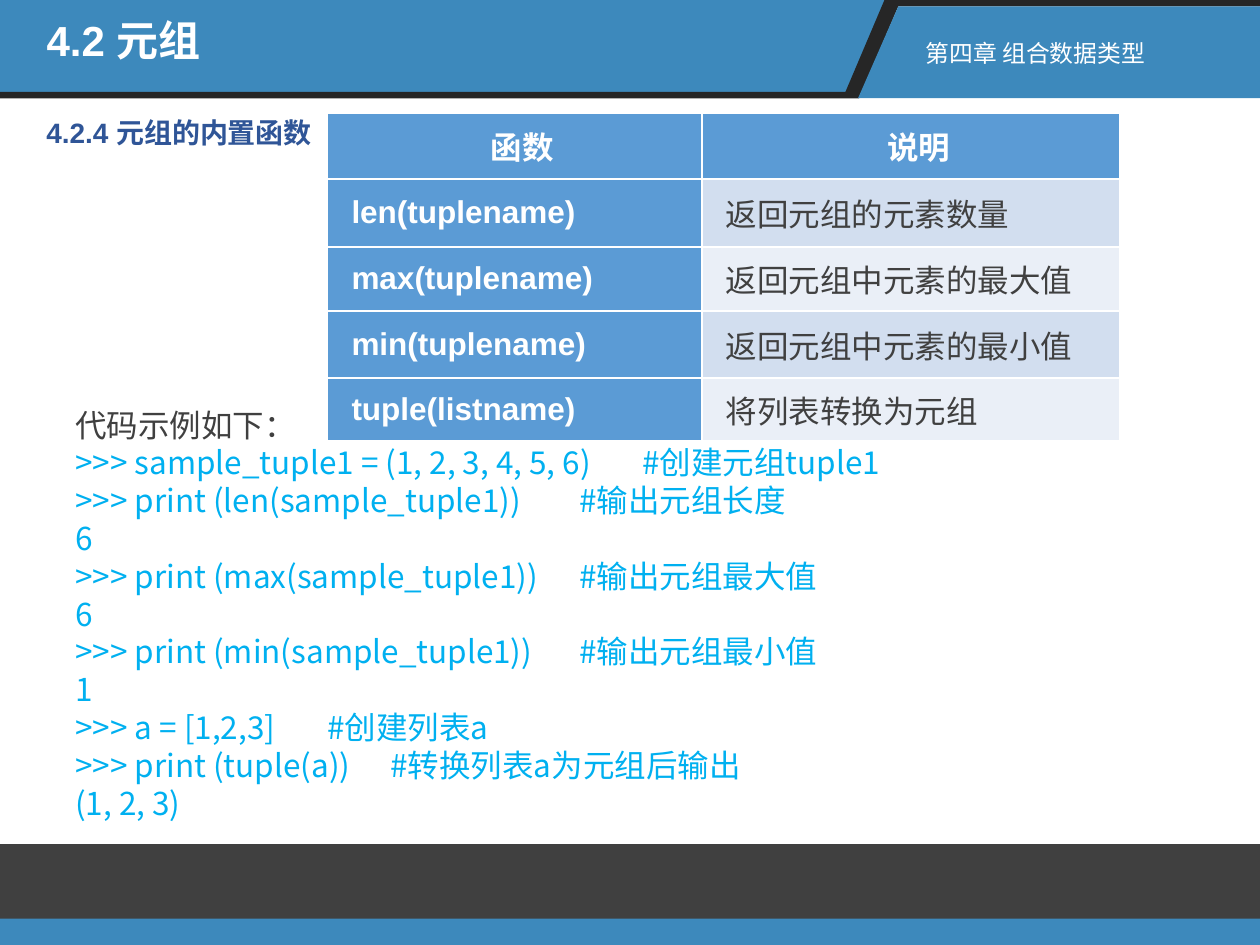
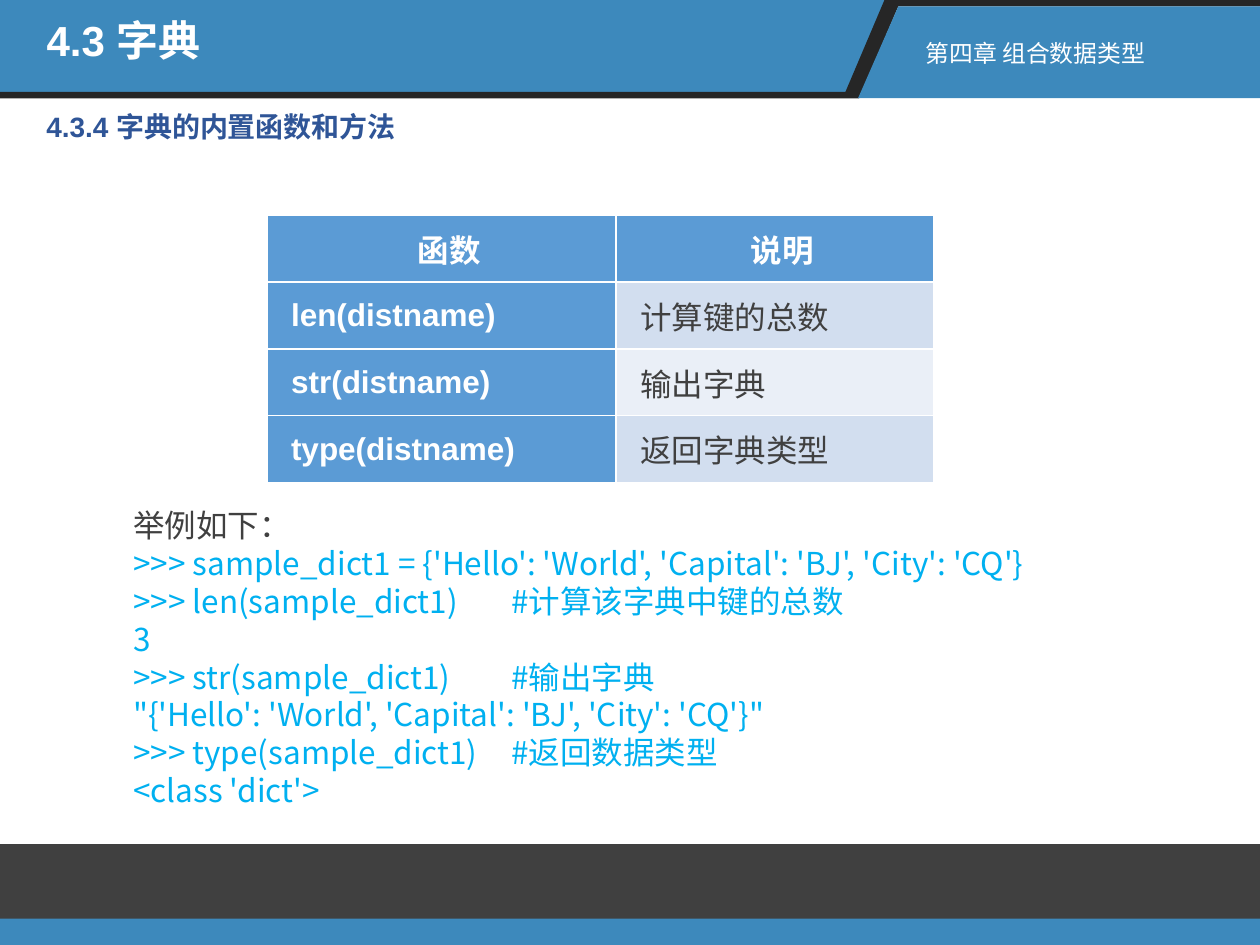
from dataclasses import dataclass

from lxml import etree
from pptx import Presentation
from pptx.dml.color import RGBColor
from pptx.enum.shapes import MSO_SHAPE
from pptx.enum.text import MSO_ANCHOR, MSO_AUTO_SIZE, PP_ALIGN
from pptx.oxml.ns import qn
from pptx.util import Inches, Pt

RECTANGLE = MSO_SHAPE.RECTANGLE
TOP, MIDDLE = MSO_ANCHOR.TOP, MSO_ANCHOR.MIDDLE
NO_AUTOFIT = MSO_AUTO_SIZE.NONE
LEFT, CENTER, JUSTIFY = PP_ALIGN.LEFT, PP_ALIGN.CENTER, PP_ALIGN.JUSTIFY
TITLE_ONLY = 5


@dataclass(frozen=True)
class Theme:
    band: str = "3D89BC"
    edge: str = "262626"
    footer: str = "404040"
    heading: str = "2F5597"
    body: str = "404040"
    code: str = "00B0F0"
    white: str = "FFFFFF"
    table_head: str = "5B9BD5"
    table_rows: tuple = ("D2DEEF", "EAEFF7")
    latin: str = "Arial"
    chinese: str = "Noto Sans CJK SC"
    title_size: float = 24
    heading_size: float = 16
    chapter_size: float = 13.6
    body_size: float = 18


BANDS = [
    ("band", [(0, 0), (7.05, 0), (6.74, 0.73), (0, 0.73)]),
    ("edge", [(7.09, 0), (10, 0), (10, 0.05), (7.13, 0.05), (6.82, 0.78),
              (0, 0.78), (0, 0.73), (6.71, 0.73), (7.02, 0)]),
    ("band", [(7.13, 0.05), (10, 0.05), (10, 0.78), (6.81, 0.78)]),
]
FOOTERS = [("footer", 6.7, 0.6), ("band", 7.29, 0.21)]
CHAPTER = "第四章 组合数据类型"
TABLE_HEAD = ("函数", "说明")


class Lesson:
    def __init__(self, theme):
        self.theme = theme
        self.deck = Presentation()
        self.deck.slide_width, self.deck.slide_height = Inches(10), Inches(7.5)
        self.layout = self.deck.slide_layouts[TITLE_ONLY]
        self.page = None

    def add_page(self, title, heading, heading_top):
        self.page = self.deck.slides.add_slide(self.layout)
        if len(self.deck.slides) == 1:
            self.dress_layout()
        theme = self.theme
        box = self.page.shapes.title
        box.left, box.top, box.width, box.height = map(Inches, (0.27, 0.11, 4.08, 0.62))
        self.write_heading(box, title, theme.title_size, theme.white)
        box = self.add_box(0.27, heading_top, 3.51, 0.6)
        self.write_heading(box, heading, theme.heading_size, theme.heading)
        box = self.add_box(7.25, 0.26, 1.95, 0.33, wrap=False)
        self.add_span(box.text_frame.paragraphs[0], CHAPTER, theme.chapter_size, theme.white)

    def dress_layout(self):
        shapes = [self.add_outline(colour, points) for colour, points in BANDS]
        shapes += [self.add_strip(*footer) for footer in FOOTERS]
        for position, shape in enumerate(shapes, 2):
            self.layout.shapes.element.insert(position, shape.element)

    def paint(self, shape, colour):
        shape.shadow.inherit = False
        shape.fill.solid()
        shape.fill.fore_color.rgb = RGBColor.from_string(getattr(self.theme, colour))
        shape.line.fill.background()
        return shape

    def add_outline(self, colour, points):
        corners = [(Inches(x), Inches(y)) for x, y in points]
        builder = self.page.shapes.build_freeform(*corners[0])
        builder.add_line_segments(corners[1:], close=True)
        return self.paint(builder.convert_to_shape(), colour)

    def add_strip(self, colour, top, height):
        strip = self.page.shapes.add_shape(
            RECTANGLE, 0, Inches(top), self.deck.slide_width, Inches(height))
        return self.paint(strip, colour)

    def add_box(self, left, top, width, height, wrap=True):
        box = self.page.shapes.add_textbox(*map(Inches, (left, top, width, height)))
        box.text_frame.word_wrap = wrap
        return box

    def add_span(self, para, text, size, colour, bold=False, latin=None):
        span = para.add_run()
        span.text = text
        font = span.font
        font.name = latin or self.theme.latin
        font.size = Pt(size)
        font.bold = bold
        font.color.rgb = RGBColor.from_string(colour)
        east_asian = etree.Element(qn("a:ea"), typeface=self.theme.chinese)
        span._r.rPr.find(qn("a:latin")).addnext(east_asian)

    def write_heading(self, box, text, size, colour):
        frame = box.text_frame
        frame.auto_size = NO_AUTOFIT
        frame.vertical_anchor = TOP
        para = frame.paragraphs[0]
        para.alignment = LEFT
        para.line_spacing = 0.9
        para.space_before = Pt(10)
        self.add_span(para, text, size, colour, bold=True)

    def add_function_table(self, left, top, widths, heights, rows):
        theme = self.theme
        frame = self.page.shapes.add_table(
            len(heights), len(widths),
            *map(Inches, (left, top, sum(widths), sum(heights))))
        table = frame.table
        for column, width in zip(table.columns, widths):
            column.width = Inches(width)
        for row, height in zip(table.rows, heights):
            row.height = Inches(height)
        for row_index, texts in enumerate([TABLE_HEAD, *rows]):
            for column_index, text in enumerate(texts):
                is_head = row_index == 0
                strong = is_head or column_index == 0
                fill = theme.table_head if strong else theme.table_rows[(row_index - 1) % 2]
                self.fill_cell(table.cell(row_index, column_index), text, fill,
                               theme.white if strong else theme.body, strong,
                               CENTER if is_head else JUSTIFY)

    def fill_cell(self, cell, text, fill, colour, bold, alignment):
        cell.fill.solid()
        cell.fill.fore_color.rgb = RGBColor.from_string(fill)
        cell.vertical_anchor = MIDDLE
        cell.margin_left = cell.margin_right = Inches(0.07)
        cell.margin_top = cell.margin_bottom = 0
        para = cell.text_frame.paragraphs[0]
        para.alignment = alignment
        para._p.get_or_add_pPr().set("marL", str(Inches(0.12)))
        self.add_span(para, text, self.theme.body_size, colour, bold)

    def add_code(self, left, top, height, intro, lines):
        theme = self.theme
        frame = self.add_box(left, top, 9.07, height).text_frame
        for index, (text, *remark) in enumerate([(intro,), *lines]):
            para = frame.add_paragraph() if index else frame.paragraphs[0]
            properties = para._p.get_or_add_pPr()
            properties.set("indent", str(Inches(0.5)))
            if remark:
                position, comment = remark
                stops = etree.SubElement(properties, qn("a:tabLst"))
                etree.SubElement(stops, qn("a:tab"), pos=str(Inches(position)), algn="l")
                text = f"{text}\t{comment}"
            self.add_span(para, text, theme.body_size,
                          theme.code if index else theme.body, latin=theme.chinese)


def main():
    lesson = Lesson(Theme())

    lesson.add_page("4.2 元组", "4.2.4 元组的内置函数", 0.9)
    lesson.add_function_table(2.6, 0.9, (2.97, 3.32), (0.52, 0.54, 0.51, 0.53, 0.5), [
        ("len(tuplename)", "返回元组的元素数量"),
        ("max(tuplename)", "返回元组中元素的最大值"),
        ("min(tuplename)", "返回元组中元素的最小值"),
        ("tuple(listname)", "将列表转换为元组"),
    ])
    lesson.add_code(0, 3.17, 3.43, "代码示例如下：", [
        (">>> sample_tuple1 = (1, 2, 3, 4, 5, 6)", 4.82, "#创建元组tuple1"),
        (">>> print (len(sample_tuple1))", 4.76, "#输出元组长度"),
        ("6",),
        (">>> print (max(sample_tuple1))", 4.84, "#输出元组最大值"),
        ("6",),
        (">>> print (min(sample_tuple1))", 4.86, "#输出元组最小值"),
        ("1",),
        (">>> a = [1,2,3]", 4.27, "#创建列表a"),
        (">>> print (tuple(a))", 4.42, "#转换列表a为元组后输出"),
        ("(1, 2, 3)",),
    ])

    lesson.add_page("4.3 字典", "4.3.4 字典的内置函数和方法", 0.85)
    lesson.add_function_table(2.12, 1.71, (2.77, 2.52), (0.53,) * 4, [
        ("len(distname)", "计算键的总数"),
        ("str(distname)", "输出字典"),
        ("type(distname)", "返回字典类型"),
    ])
    lesson.add_code(0.46, 3.97, 2.52, "举例如下：", [
        (">>> sample_dict1 = {'Hello': 'World', 'Capital': 'BJ', 'City': 'CQ'}",),
        (">>> len(sample_dict1)", 3.81, "#计算该字典中键的总数"),
        ("3",),
        (">>> str(sample_dict1)", 3.75, "#输出字典"),
        ("\"{'Hello': 'World', 'Capital': 'BJ', 'City': 'CQ'}\"",),
        (">>> type(sample_dict1)", 3.85, "#返回数据类型"),
        ("<class 'dict'>",),
    ])

    lesson.deck.save("out.pptx")


if __name__ == "__main__":
    main()
